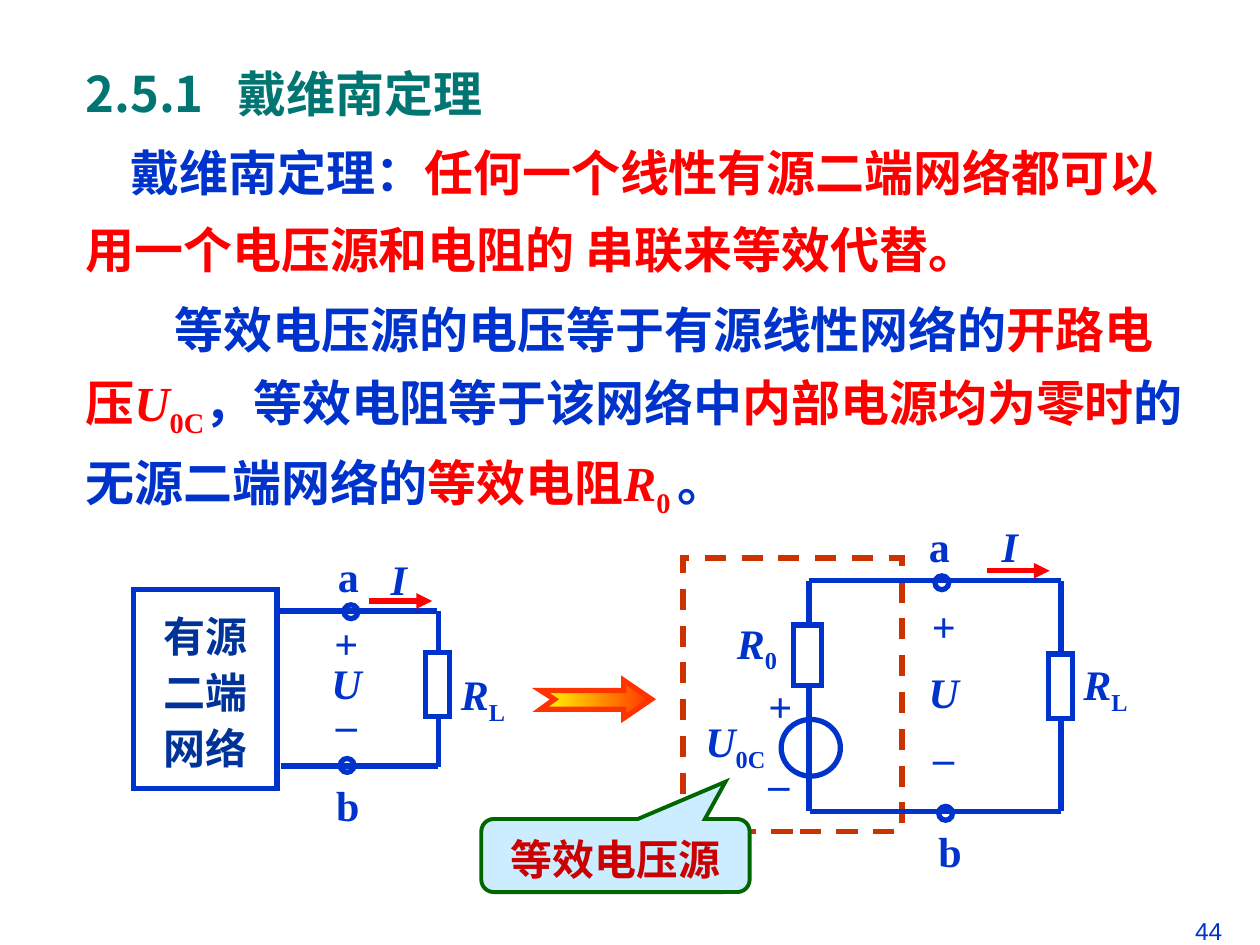
from lxml import etree
from pptx import Presentation
from pptx import util as u
from pptx.dml.color import RGBColor
from pptx.enum import dml, shapes, text
from pptx.oxml import ns

BLUE = RGBColor(0x00, 0x33, 0xCC)
NAVY = RGBColor(0x00, 0x33, 0x99)
TEAL = RGBColor(0x00, 0x75, 0x72)
RED = RGBColor(0xFF, 0x00, 0x00)
DARK_RED = RGBColor(0xCC, 0x00, 0x00)
RUST = RGBColor(0xCC, 0x33, 0x00)
ORANGE = RGBColor(0xFF, 0x33, 0x00)
YELLOW = RGBColor(0xFF, 0xFF, 0x00)
GREEN = RGBColor(0x00, 0x66, 0x00)
PALE_BLUE = RGBColor(0xCC, 0xEC, 0xFF)

SERIF, SANS, CJK = "Times New Roman", "Arial", "Noto Sans CJK SC"
SHAPE, ALIGN = shapes.MSO_SHAPE, text.PP_ALIGN
SUB = {"sub": True}
ITALIC = {"italic": True}


def add_xml(parent, tag, **attrs):
    return etree.SubElement(parent, ns.qn(tag), attrs)


def add_run(p, content, *, size=24, color=BLUE, font=SERIF, bold=True,
            italic=False, sub=False):
    r = p.add_run()
    r.text = content
    f = r.font
    f.size, f.name, f.bold, f.italic = u.Pt(size), font, bold, italic
    f.color.rgb = color
    rPr = r._r.get_or_add_rPr()
    add_xml(rPr, "a:ea", typeface=CJK)
    if sub:
        rPr.set("baseline", "-25000")


def write(tf, paragraphs, *, align=ALIGN.LEFT, spacing=None, wrap=False,
          grow=False, middle=False, **style):
    """Fill a frame; a paragraph is a string or a list of (text, style) runs."""
    tf.word_wrap = wrap
    tf.auto_size = (text.MSO_AUTO_SIZE.SHAPE_TO_FIT_TEXT if grow
                    else text.MSO_AUTO_SIZE.NONE)
    tf.vertical_anchor = text.MSO_ANCHOR.MIDDLE if middle else text.MSO_ANCHOR.TOP
    for i, runs in enumerate(paragraphs):
        p = tf.paragraphs[0] if i == 0 else tf.add_paragraph()
        p.alignment = align
        if spacing is not None:
            p.line_spacing = spacing
        for content, extra in ([(runs, {})] if isinstance(runs, str) else runs):
            add_run(p, content, **{**style, **extra})


class Drawer:
    """Line style and current slide, plus the target that receives elements."""

    def __init__(self, slide, color=BLUE, width=3):
        self.slide, self.color, self.width = slide, color, width
        self.target = slide.shapes

    def group(self):
        self.target = self.slide.shapes.add_group_shape().shapes

    def ungroup(self):
        self.target = self.slide.shapes

    def outline(self, s, color=None, width=None, dash=None):
        s.line.color.rgb = color or self.color
        s.line.width = u.Pt(width or self.width)
        if dash:
            s.line.dash_style = dash
        add_xml(s.line._get_or_add_ln(), "a:miter", lim="800000")

    def shape(self, kind, x, y, w, h, fill=None, **line):
        s = self.target.add_shape(kind, *map(u.Inches, (x, y, w, h)))
        s.shadow.inherit = False
        if fill is None:
            s.fill.background()
        else:
            s.fill.solid()
            s.fill.fore_color.rgb = fill
        self.outline(s, **line)
        return s

    def wire(self, x1, y1, x2, y2, color=None, arrow=False):
        s = self.target.add_connector(shapes.MSO_CONNECTOR.STRAIGHT,
                                      *map(u.Inches, (x1, y1, x2, y2)))
        self.outline(s, color)
        if arrow:
            add_xml(s.line._get_or_add_ln(), "a:tailEnd", type="triangle")
        add_xml(s._element.spPr, "a:effectLst")

    def label(self, x, y, w, h, *paragraphs, **fmt):
        s = self.target.add_textbox(*map(u.Inches, (x, y, w, h)))
        write(s.text_frame, paragraphs, **fmt)
        return s.text_frame

    def symbol(self, x, y, w, name, sub):
        self.label(x, y, w, 0.56, [(name, ITALIC), (sub, SUB)], grow=True)

    def terminal(self, x, y, name, label_x, label_y):
        self.label(label_x, label_y, 0.37, 0.5, name, align=ALIGN.CENTER, grow=True)
        self.shape(SHAPE.OVAL, x, y, 0.11, 0.11)

    def voltage(self, x, y, h, spacing):
        self.label(x, y, 0.44, h, "+", [("U", ITALIC)], "–",
                   align=ALIGN.CENTER, spacing=spacing, grow=True)

    def current(self, x, y, label_x, label_y):
        self.wire(x, y, x + 0.5, y, RED, arrow=True)
        self.label(label_x, label_y, 0.33, 0.5, "I", align=ALIGN.CENTER,
                   italic=True, grow=True)

    def load(self, x, top, bottom, y, label_y):
        """Branch at x with a resistor starting at y."""
        self.wire(x, top, x, y)
        self.shape(SHAPE.RECTANGLE, x - 0.1, y, 0.19, 0.51)
        self.wire(x, y + 0.51, x, bottom)
        self.symbol(x + 0.08, label_y, 0.55, "R", "L")

    def block_arrow(self, points):
        pts = [(u.Inches(x), u.Inches(y)) for x, y in points]
        fb = self.target.build_freeform(*pts[0])
        fb.add_line_segments(pts[1:], close=True)
        s = fb.convert_to_shape()
        s.shadow.inherit = False
        s.fill.gradient()
        s.fill.gradient_angle = 0
        for stop, pos, color in zip(s.fill.gradient_stops, (0, 1), (YELLOW, ORANGE)):
            stop.position, stop.color.rgb = pos, color
        self.outline(s, ORANGE)


def main():
    prs = Presentation()
    prs.slide_width, prs.slide_height = u.Inches(10), u.Inches(7.5)
    d = Drawer(prs.slides.add_slide(prs.slide_layouts[6]))

    # Page number and heading
    d.label(7.3, 7.22, 2.5, 0.52, "44", size=14, font=SANS, bold=False,
            align=ALIGN.RIGHT, wrap=True)
    tf = d.label(0.58, 0.42, 7, 0.67, "2.5.1\t戴维南定理", size=28, font=CJK,
                 color=TEAL, spacing=u.Pt(36), wrap=True)
    tabs = add_xml(tf.paragraphs[0]._p.get_or_add_pPr(), "a:tabLst")
    add_xml(tabs, "a:tab", pos=str(u.Inches(1.21)), algn="l")

    # Theorem statement
    red = {"color": RED}
    tf = d.label(
        0.58, 0.93, 9, 3.26,
        [("戴维南定理：", {"font": CJK}),
         ("任何一个", red), ("线性", {**red, "font": SANS}),
         ("有源二端网络都可以用一个电压源和电阻的 串联来等效代替。", red)],
        [("等效电压源的电压等于有源线性网络的", {}), ("开路电压", red),
         ("U", {**red, **ITALIC}), ("0C", {**red, **SUB}),
         ("，等效电阻等于该网络中", {}), ("内部电源均为零时", red),
         ("的无源二端网络的", {}), ("等效电阻", red),
         ("R", {**red, **ITALIC}), ("0 ", {**red, **SUB}), ("。", {})],
        size=28, wrap=True, middle=True)
    for p, indent, pitch in zip(tf.paragraphs, (0.36, 0.71), (43.5, 46)):
        p.line_spacing = u.Pt(pitch)
        p._p.get_or_add_pPr().set("indent", str(u.Inches(indent)))

    # Frame of the equivalent source and the transition arrow
    d.shape(SHAPE.RECTANGLE, 5.42, 4.43, 1.74, 2.17, color=RUST,
            dash=dml.MSO_LINE.DASH)
    d.block_arrow([(4.29, 5.48), (4.95, 5.48), (4.95, 5.4), (5.17, 5.55),
                   (4.95, 5.7), (4.95, 5.63), (4.29, 5.63), (4.4, 5.55)])

    # Left circuit: active network with its load
    d.group()
    s = d.shape(SHAPE.RECTANGLE, 1.06, 4.68, 1.14, 1.58)
    tf = s.text_frame
    tf.margin_left = tf.margin_right = tf.margin_top = tf.margin_bottom = 0
    write(tf, ["有源", "二端", "网络"], color=NAVY, align=ALIGN.CENTER,
          spacing=u.Pt(32), middle=True)
    d.wire(2.22, 4.85, 3.47, 4.85)
    d.wire(2.23, 6.08, 3.48, 6.08)
    d.load(3.48, 4.85, 6.09, 5.18, 5.26)
    d.terminal(2.73, 4.8, "a", 2.58, 4.32)
    d.terminal(2.7, 6.02, "b", 2.57, 6.14)
    d.voltage(2.53, 4.93, 1.06, 0.8)
    d.current(2.93, 4.77, 3, 4.34)

    # Right circuit: voltage source and series resistor with the load
    d.group()
    d.shape(SHAPE.OVAL, 6.2, 5.71, 0.47, 0.45)
    d.shape(SHAPE.RECTANGLE, 6.3, 4.96, 0.22, 0.48)
    d.wire(6.42, 4.61, 8.42, 4.61)
    d.wire(6.43, 6.44, 8.42, 6.44)
    d.wire(6.42, 4.61, 6.42, 4.94)
    d.wire(6.42, 5.44, 6.42, 6.44)
    d.symbol(5.5, 5.63, 0.68, "U", "0C")
    d.symbol(5.75, 4.85, 0.52, "R", "0")
    for sign, y in (("+", 5.35), ("_", 5.85)):
        d.label(6, y, 0.38, 0.5, sign, grow=True)
    d.load(8.42, 4.61, 6.44, 5.19, 5.18)
    d.terminal(7.42, 4.57, "a", 7.27, 4.08)
    d.terminal(7.45, 6.4, "b", 7.35, 6.5)
    d.voltage(7.27, 4.6, 1.66, 1.3)
    d.current(7.83, 4.53, 7.85, 4.08)

    # Callout on the equivalent source
    d.ungroup()
    s = d.shape(SHAPE.ROUNDED_RECTANGULAR_CALLOUT, 3.82, 6.5, 2.13, 0.58,
                fill=PALE_BLUE, color=GREEN, width=2.25)
    for i, value in enumerate((0.41, -1.01, 0.17)):
        s.adjustments[i] = value
    write(s.text_frame, ["等效电压源"], color=DARK_RED, align=ALIGN.CENTER,
          spacing=u.Pt(32), middle=True)

    prs.save("out.pptx")


if __name__ == "__main__":
    main()
